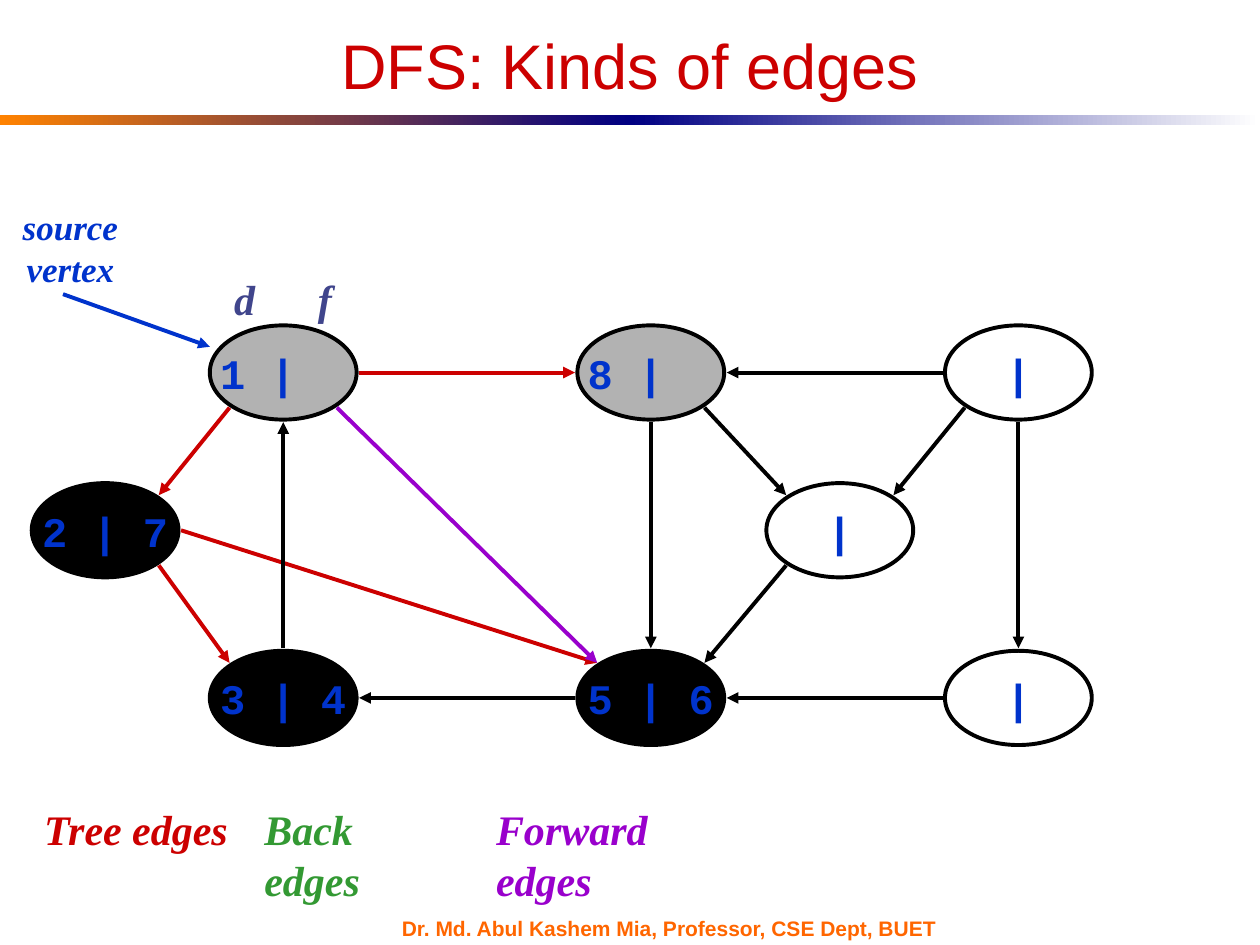
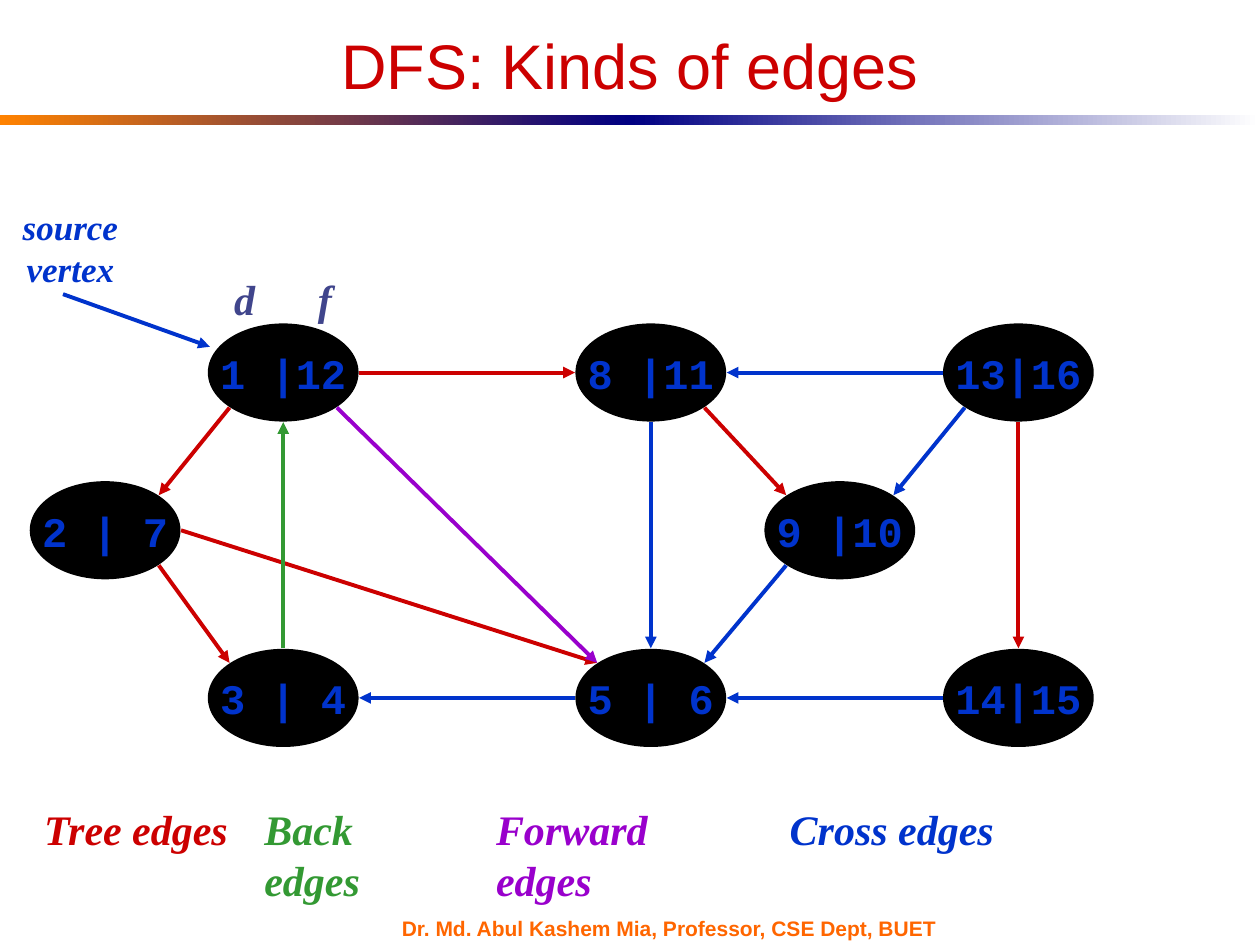
from math import sqrt

from lxml.etree import SubElement
from pptx import Presentation
from pptx.dml.color import RGBColor
from pptx.enum.shapes import MSO_CONNECTOR, MSO_SHAPE
from pptx.enum.text import MSO_ANCHOR, PP_ALIGN
from pptx.oxml.ns import qn
from pptx.util import Cm, Pt

# Colours
BLACK = RGBColor(0x00, 0x00, 0x00)
WHITE = RGBColor(0xFF, 0xFF, 0xFF)
GRAY = RGBColor(0xB2, 0xB2, 0xB2)
RED = RGBColor(0xCC, 0x00, 0x00)
GREEN = RGBColor(0x33, 0x99, 0x33)
PURPLE = RGBColor(0x99, 0x00, 0xCC)
BLUE = RGBColor(0x00, 0x33, 0xCC)
SLATE = RGBColor(0x40, 0x45, 0x8C)
NAVY = RGBColor(0x00, 0x00, 0x82)
BAND_ORANGE = RGBColor(0xFF, 0x82, 0x00)
FOOTER_ORANGE = RGBColor(0xFF, 0x66, 0x00)

SERIF = "Times New Roman"
SANS = "Arial"
MONO = "Courier New"

# Graph geometry in centimetres
NODE_WIDTH, NODE_HEIGHT = 2.96, 1.9
EDGE_GAP = 0.05
INSET = 0.25
CHARACTER_WIDTH = 0.51
LABEL_LENGTH = 5

# Left and top of each vertex, named by its discovery time
VERTICES = {
    1: (4.23, 6.56), 8: (11.64, 6.56), 13: (19.05, 6.56),
    2: (0.64, 9.74), 9: (15.45, 9.74),
    3: (4.23, 13.12), 5: (11.64, 13.12), 14: (19.05, 13.12),
}

# Directions from the centre of a vertex to its outline
DIAGONAL = sqrt(0.5)
SITES = {
    "N": (0, -1), "S": (0, 1), "W": (-1, 0), "E": (1, 0),
    "NW": (-DIAGONAL, -DIAGONAL), "NE": (DIAGONAL, -DIAGONAL),
    "SW": (-DIAGONAL, DIAGONAL), "SE": (DIAGONAL, DIAGONAL),
}

KIND_COLORS = {"Tree": RED, "Back": GREEN, "Forward": PURPLE, "Cross": BLUE}

# Start vertex and site, end vertex and site, kind
EDGES = [
    (1, "SW", 2, "NE", "Tree"),
    (2, "SE", 3, "NW", "Tree"),
    (2, "E", 5, "NW", "Tree"),
    (5, "W", 3, "E", "Cross"),
    (3, "N", 1, "S", "Back"),
    (1, "SE", 5, "NW", "Forward"),
    (8, "S", 5, "N", "Cross"),
    (1, "E", 8, "W", "Tree"),
    (13, "W", 8, "E", "Cross"),
    (8, "SE", 9, "NW", "Tree"),
    (13, "SW", 9, "NE", "Cross"),
    (13, "S", 14, "N", "Tree"),
    (14, "W", 5, "E", "Cross"),
    (9, "SW", 5, "NE", "Cross"),
]
EARLY_EDGES = {(1, 2), (2, 3), (2, 5), (1, 5), (1, 8)}

# Left and width of each legend entry
LEGEND = {"Tree": (0.64, 4.24), "Back": (5.08, 4.42),
          "Forward": (9.75, 5.69), "Cross": (15.67, 4.62)}

EARLY_LABELS = {1: "1 |", 8: "8 |", 13: "|", 2: "2 | 7",
                9: "|", 3: "3 | 4", 5: "5 | 6", 14: "|"}
FINAL_LABELS = {1: "1 |12", 8: "8 |11", 13: "13|16", 2: "2 | 7",
                9: "9 |10", 3: "3 | 4", 5: "5 | 6", 14: "14|15"}


def format_paragraph(paragraph, font_name, size, color, bold=True, italic=False):
    for run in paragraph.runs:
        font = run.font
        font.name, font.size = font_name, Pt(size)
        font.bold, font.italic = bold, italic
        font.color.rgb = color


def add_text(slide, box, text, font_name, size, color, italic=False,
             wrap=False, alignment=PP_ALIGN.LEFT, anchor=MSO_ANCHOR.TOP):
    shape = slide.shapes.add_textbox(*(Cm(length) for length in box))
    text_frame = shape.text_frame
    text_frame.word_wrap = wrap
    text_frame.vertical_anchor = anchor
    paragraph = text_frame.paragraphs[0]
    paragraph.text = text
    paragraph.alignment = alignment
    format_paragraph(paragraph, font_name, size, color, italic=italic)
    return shape


def add_band_half(slide, left, start_color, end_color):
    shape = slide.shapes.add_shape(
        MSO_SHAPE.RECTANGLE, Cm(left), Cm(2.31), Cm(12.7), Cm(0.21))
    shape.shadow.inherit = False
    shape.line.fill.background()
    shape.fill.gradient()
    shape.fill.gradient_angle = 0
    for stop, color in zip(shape.fill.gradient_stops, (start_color, end_color)):
        stop.color.rgb = color
    return shape


def move_band_and_footer_to_layout(slide):
    """Draw the shared parts once and let every slide inherit them."""
    shared = [
        add_band_half(slide, 0, BAND_ORANGE, NAVY),
        add_band_half(slide, 12.7, NAVY, WHITE),
        add_text(slide, (7.85, 18.49, 11.86, 0.46),
                 "Dr. Md. Abul Kashem Mia, Professor, CSE Dept, BUET",
                 SANS, 12, FOOTER_ORANGE, wrap=True, anchor=MSO_ANCHOR.MIDDLE),
    ]
    for shape in shared:
        slide.slide_layout.shapes.element.append(shape.element)


def set_title(slide, text):
    title = slide.shapes.title
    title.left, title.top, title.width, title.height = (
        Cm(1.27), Cm(0.64), Cm(22.86), Cm(1.3))
    title.text_frame.text = text
    title.text_frame.vertical_anchor = MSO_ANCHOR.MIDDLE
    paragraph = title.text_frame.paragraphs[0]
    paragraph.alignment = PP_ALIGN.CENTER
    format_paragraph(paragraph, SANS, 36, RED, bold=False)


def add_vertex(slide, position, label):
    shape = slide.shapes.add_shape(
        MSO_SHAPE.OVAL, *(Cm(length) for length in position),
        Cm(NODE_WIDTH), Cm(NODE_HEIGHT))
    shape.shadow.inherit = False
    shape.line.color.rgb = BLACK
    shape.line.width = Pt(2.25)
    # White: undiscovered, gray: discovered, black: finished
    if label == "|":
        shape.fill.background()
    else:
        shape.fill.solid()
        finished = len(label) == LABEL_LENGTH
        shape.fill.fore_color.rgb = BLACK if finished else GRAY

    text_frame = shape.text_frame
    text_frame.word_wrap = False
    text_frame.vertical_anchor = MSO_ANCHOR.MIDDLE
    # Keep the bar in the middle while the finishing time is missing
    missing = 0 if label == "|" else LABEL_LENGTH - len(label)
    text_frame.margin_right = Cm(INSET + missing * CHARACTER_WIDTH)
    text_frame.text = label
    paragraph = text_frame.paragraphs[0]
    paragraph.alignment = PP_ALIGN.CENTER
    format_paragraph(paragraph, MONO, 24, BLUE)


def site_point(vertex, site):
    left, top = VERTICES[vertex]
    across, down = SITES[site]
    return (left + NODE_WIDTH / 2 + across * (NODE_WIDTH / 2 + EDGE_GAP),
            top + NODE_HEIGHT / 2 + down * (NODE_HEIGHT / 2 + EDGE_GAP))


def add_arrow(slide, start, end, color):
    connector = slide.shapes.add_connector(
        MSO_CONNECTOR.STRAIGHT, *(Cm(length) for length in (*start, *end)))
    connector.line.color.rgb = color
    connector.line.width = Pt(2.25)
    properties = connector.element.spPr
    SubElement(properties.find(qn("a:ln")), qn("a:tailEnd"), type="triangle")
    SubElement(properties, qn("a:effectLst"))


def add_time_heading(slide):
    shape = add_text(slide, (4.23, 5.08, NODE_WIDTH, 1.9), "d\tf", SERIF, 24,
                     SLATE, italic=True, wrap=True, anchor=MSO_ANCHOR.MIDDLE)
    shape.text_frame.margin_left = Cm(0.49)
    properties = shape.text_frame.paragraphs[0]._p.get_or_add_pPr()
    tabs = SubElement(properties, qn("a:tabLst"))
    SubElement(tabs, qn("a:tab"), pos=str(Cm(1.69)), algn="l")


def add_source_note(slide):
    add_text(slide, (0.2, 4.02, 2.44, 1.96), "source\vvertex", SERIF, 20, BLUE,
             italic=True, alignment=PP_ALIGN.CENTER)
    add_arrow(slide, (1.27, 5.93), (4.23, 6.99), BLUE)


def build_slide(slide, labels, kinds, colored_edges):
    set_title(slide, "DFS: Kinds of edges")
    for vertex, position in VERTICES.items():
        add_vertex(slide, position, labels[vertex])
    for start, start_site, end, end_site, kind in EDGES:
        color = KIND_COLORS[kind] if (start, end) in colored_edges else BLACK
        add_arrow(slide, site_point(start, start_site),
                  site_point(end, end_site), color)
    add_source_note(slide)
    add_time_heading(slide)
    for kind in kinds:
        left, width = LEGEND[kind]
        add_text(slide, (left, 16.08, width, 1.27), f"{kind} edges", SERIF, 24,
                 KIND_COLORS[kind], italic=True)


def main():
    presentation = Presentation()
    presentation.slide_width, presentation.slide_height = Cm(25.4), Cm(19.05)
    layout = presentation.slide_layouts[5]

    # Search in progress
    early_slide = presentation.slides.add_slide(layout)
    move_band_and_footer_to_layout(early_slide)
    build_slide(early_slide, EARLY_LABELS, ("Tree", "Back", "Forward"), EARLY_EDGES)

    # Search finished
    final_slide = presentation.slides.add_slide(layout)
    all_edges = {(start, end) for start, _, end, _, _ in EDGES}
    build_slide(final_slide, FINAL_LABELS, KIND_COLORS, all_edges)

    presentation.save("out.pptx")


if __name__ == "__main__":
    main()
